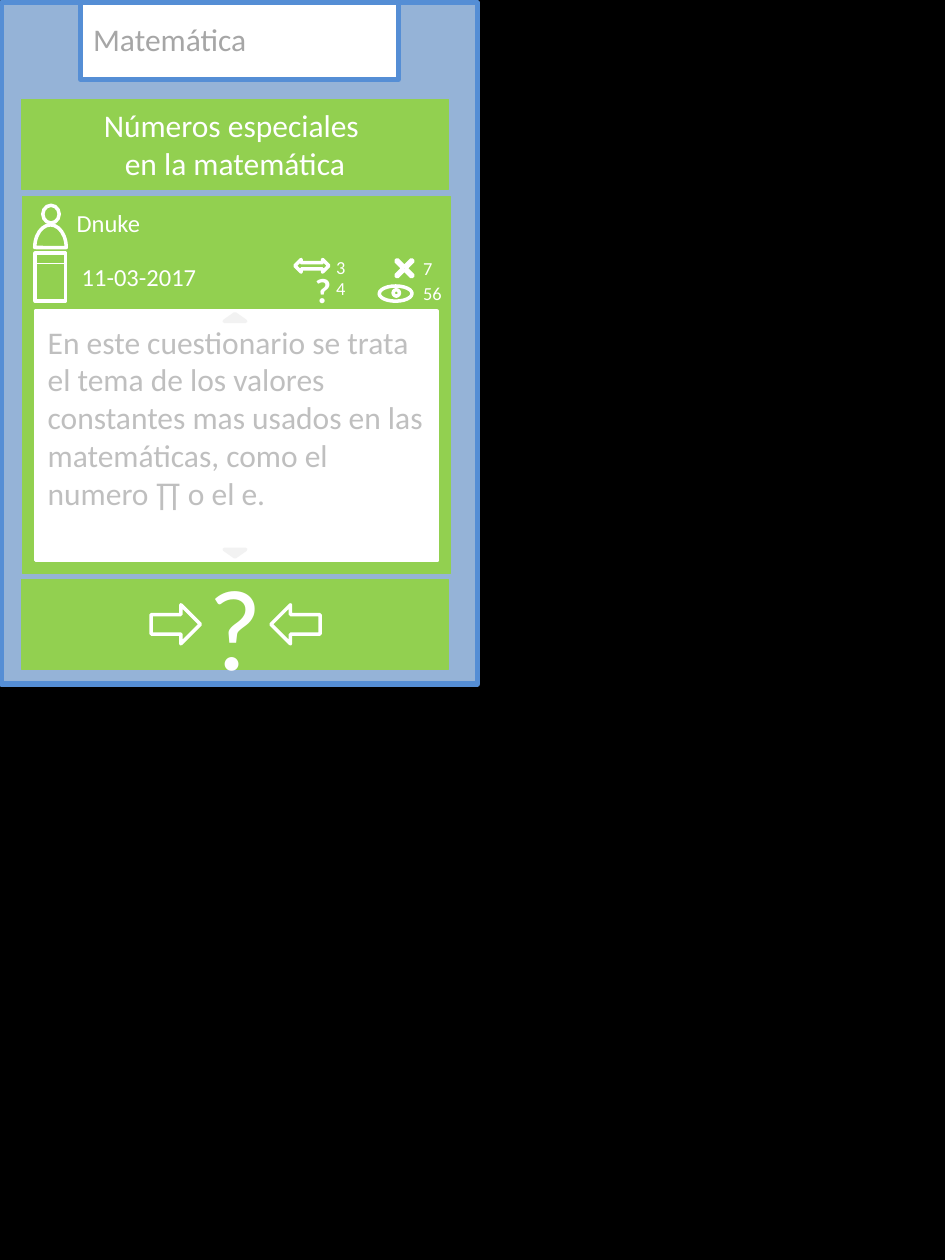
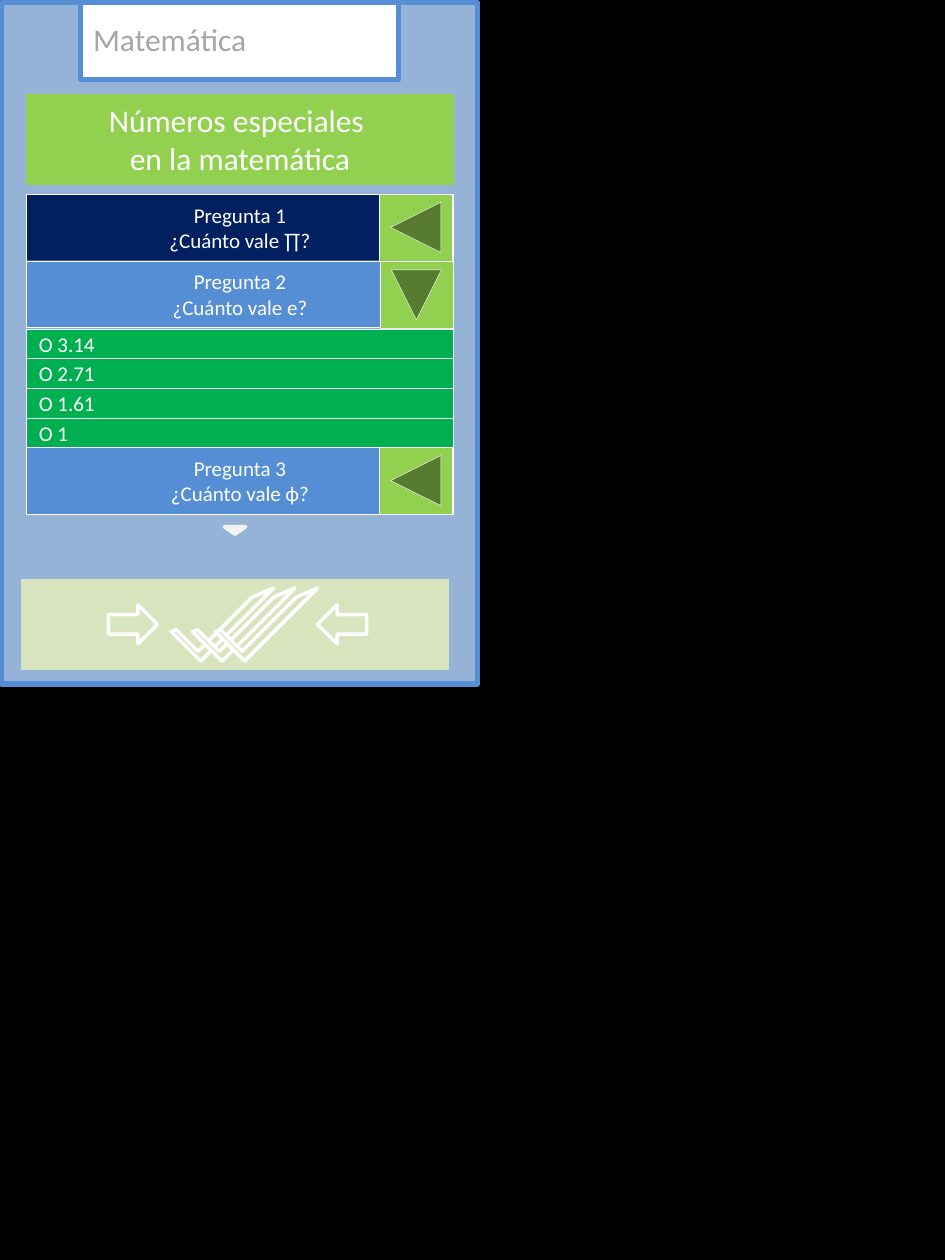
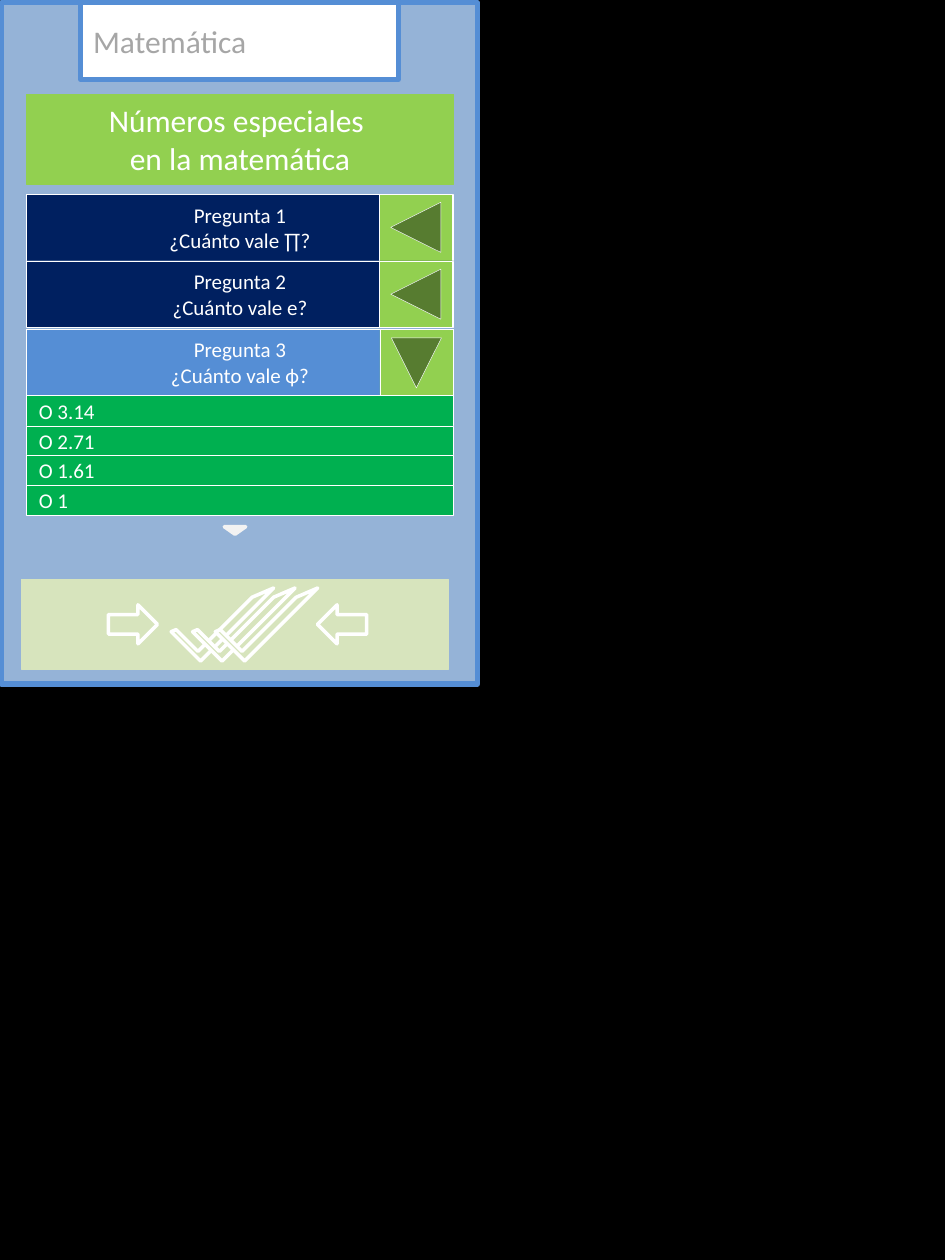
from dataclasses import dataclass

from lxml import etree
from pptx import Presentation
from pptx.dml.color import RGBColor
from pptx.enum.shapes import MSO_CONNECTOR, MSO_SHAPE
from pptx.enum.text import MSO_ANCHOR, MSO_AUTO_SIZE, PP_ALIGN
from pptx.oxml.ns import qn
from pptx.util import Pt

PX = 9144  # EMU in one px, 100 px to the inch

RECT = MSO_SHAPE.RECTANGLE
OVAL = MSO_SHAPE.OVAL
PIE = MSO_SHAPE.PIE
MOON = MSO_SHAPE.MOON
DOT = MSO_SHAPE.FLOWCHART_CONNECTOR
CROSS = MSO_SHAPE.MATH_MULTIPLY
WEDGE = MSO_SHAPE.ISOSCELES_TRIANGLE
ARROW = MSO_SHAPE.RIGHT_ARROW
DOUBLE = MSO_SHAPE.LEFT_RIGHT_ARROW
BACK = MSO_SHAPE.ACTION_BUTTON_BACK_OR_PREVIOUS
TICK = MSO_SHAPE.HALF_FRAME
STRAIGHT = MSO_CONNECTOR.STRAIGHT
MIDDLE = MSO_ANCHOR.MIDDLE
LEFT, CENTER = PP_ALIGN.LEFT, PP_ALIGN.CENTER
FIXED, GROW = MSO_AUTO_SIZE.NONE, MSO_AUTO_SIZE.SHAPE_TO_FIT_TEXT


@dataclass(frozen=True)
class Theme:
    font: str = "Calibri"
    back: str = "000000"
    panel: str = "95B3D7"
    blue: str = "558ED5"
    navy: str = "002060"
    lime: str = "92D050"
    pale: str = "D7E4BD"
    green: str = "00B050"
    accent: str = "4F81BD"
    white: str = "FFFFFF"
    mist: str = "F2F2F2"
    gray: str = "A6A6A6"
    soft: str = "BFBFBF"
    huge: float = 66
    mark: float = 20
    head: float = 18
    meta: float = 14
    item: float = 12
    count: float = 10.5
    hair: float = 0.25
    thin: float = 0.75
    icon: float = 2
    thick: float = 3


class Deck:
    def __init__(self, theme):
        self.theme = theme
        self.prs = Presentation()
        self.prs.slide_width = 750 * PX
        self.prs.slide_height = 1000 * PX
        self.slide = None

    def start(self):
        """Add a slide with the app window drawn on it; return its topic box."""
        t = self.theme
        self.slide = self.prs.slides.add_slide(self.prs.slide_layouts[5])
        fill = self.slide.background.fill
        fill.solid()
        fill.fore_color.rgb = RGBColor.from_string(t.back)
        self.shape(RECT, (1, 2, 378, 541), t.panel, t.blue, t.thick)
        return self.shape(RECT, (64, 2, 252, 61), t.white, t.blue, t.thick)

    def paint(self, shape, fill, edge, width):
        shape.fill.solid()
        shape.fill.fore_color.rgb = RGBColor.from_string(fill)
        shape.line.color.rgb = RGBColor.from_string(edge)
        shape.line.width = Pt(width)

    def shape(self, kind, box, fill, edge, width, turn=0, adjust=()):
        shape = self.slide.shapes.add_shape(kind, *(n * PX for n in box))
        shape.shadow.inherit = False
        shape.rotation = turn
        for i, value in enumerate(adjust):
            shape.adjustments[i] = value
        self.paint(shape, fill, edge, width)
        return shape

    def icon(self, kind, box, fill, turn=0, adjust=()):
        t = self.theme
        return self.shape(kind, box, fill, t.white, t.icon, turn, adjust)

    def put(self, shape, text, size, color, align=LEFT, bold=False):
        """Set and format the text of a shape; return its frame."""
        frame = shape.text_frame
        frame.text = text
        frame.word_wrap = True
        for para in frame.paragraphs:
            para.alignment = align
            for run in para.runs:
                font = run.font
                font.name, font.size, font.bold = self.theme.font, Pt(size), bold
                font.color.rgb = RGBColor.from_string(color)
        return frame

    def label(self, text, box, size, color, bold=False):
        shape = self.slide.shapes.add_textbox(*(n * PX for n in box))
        self.put(shape, text, size, color, bold=bold).auto_size = GROW

    def bar(self, text, box, fill, align=LEFT):
        """Draw a thin-edged row of a quiz."""
        t = self.theme
        shape = self.shape(RECT, box, fill, t.white, t.hair)
        self.put(shape, text, t.item, t.white, align).vertical_anchor = MIDDLE

    def line(self, start, end):
        t = self.theme
        rule = self.slide.shapes.add_connector(
            STRAIGHT, *(n * PX for n in start + end))
        rule.line.color.rgb = RGBColor.from_string(t.white)
        rule.line.width = Pt(t.thin)
        etree.SubElement(rule._element.spPr, qn("a:effectLst"))

    def title(self, text, left, top):
        t = self.theme
        shape = self.slide.shapes.title
        shape.left, shape.top = left * PX, top * PX
        shape.width, shape.height = 339 * PX, 71 * PX
        self.paint(shape, t.lime, t.lime, t.hair)
        frame = self.put(shape, text, t.head, t.white, CENTER)
        frame.auto_size, frame.vertical_anchor = FIXED, MIDDLE
        # The placeholder comes first in the tree: bring it above the window.
        self.slide.shapes._spTree.append(shape._element)

    def wedge(self, top, turn=0):
        t = self.theme
        self.shape(WEDGE, (178, top, 17, 6), t.mist, t.mist, t.icon, turn)

    def footer(self, fill, left, right):
        """Draw the bottom band and the two arrows that face its middle."""
        band = self.shape(RECT, (17, 460, 339, 71), fill, fill, self.theme.hair)
        self.icon(ARROW, (left, 480, 39, 31), fill)
        self.icon(ARROW, (right, 480, 39, 31), fill, 180)
        return band


TOPIC = "Matemática"
TITLE = "Números especiales \nen la matemática"
ABOUT = ("En este cuestionario se trata el tema de los valores constantes mas "
         "usados en las matemáticas, como el numero ∏ o el e.")
SIGNS = ["∏", "e", "ϕ"]
ANSWERS = ["O 3.14", "O 2.71", "O 1.61", "O 1"]


def topic(deck):
    t = deck.theme
    deck.label(TOPIC, (64, 11, 252, 40), t.head, t.gray)


def cover(deck):
    t = deck.theme
    deck.start()
    topic(deck)
    deck.title(TITLE, 17, 79)
    deck.shape(RECT, (18, 156, 339, 299), t.lime, t.lime, t.hair)

    # Author and date
    deck.icon(OVAL, (34, 163, 13, 14), t.lime)
    deck.icon(PIE, (22, 184, 36, 25), t.lime, 90, (54.09, 162))
    deck.label("Dnuke", (51, 160, 74, 34), t.meta, t.white)
    deck.icon(RECT, (28, 201, 24, 38), t.lime)
    deck.line((29, 209), (53, 209))
    deck.label("11-03-2017", (55, 203, 112, 34), t.meta, t.white)

    # Counters
    deck.icon(MOON, (311, 217, 6, 26), t.lime, 90, (0,))
    deck.icon(MOON, (311, 223, 6, 26), t.lime, 270, (0,))
    deck.icon(DOT, (312, 230, 5, 5), t.lime)
    deck.icon(CROSS, (309, 201, 24, 24), t.accent, 0, (0.07,))
    deck.icon(DOUBLE, (234, 206, 27, 10), t.lime)
    for text, left, top in [("56", 326, 219), ("7", 326, 199),
                            ("3", 257, 198), ("4", 257, 215)]:
        deck.label(text, (left, top, 49, 28), t.count, t.white)
    deck.label("?", (240, 208, 49, 44), t.mark, t.white, True)

    about = deck.icon(RECT, (28, 247, 319, 198), t.white)
    frame = deck.put(about, ABOUT, t.head, t.soft)
    frame.vertical_anchor, frame.margin_bottom = MIDDLE, 35 * PX
    deck.wedge(249)
    deck.wedge(436, 180)

    band = deck.footer(t.lime, 120, 215)
    deck.put(band, "?", t.huge, t.white, CENTER).vertical_anchor = MIDDLE


def quiz(deck, current, inside=False):
    """Show the questions with the current one open; inside puts the topic
    in its box rather than over it."""
    t = deck.theme
    box = deck.start()
    if inside:
        deck.put(box, TOPIC, t.head, t.gray).vertical_anchor = MIDDLE
    else:
        topic(deck)
    deck.title(TITLE, 21, 75)

    top = 154
    for i, sign in enumerate(SIGNS):
        y = round(top)
        deck.bar(f"Pregunta {i + 1}\n¿Cuánto vale {sign}?", (21, y, 339, 53),
                 t.navy if i < current else t.blue, CENTER)
        if i == current:
            spot, turn = (304, y - 2, 53, 58), 270
        else:
            spot, turn = (301, y, 58, 53), 0
        deck.shape(BACK, spot, t.lime, t.white, t.hair, turn)
        top += 53.4
        if i == current:
            for answer in ANSWERS:
                deck.bar(answer, (21, round(top), 339, 24), t.green)
                top += 23.6
    deck.wedge(418, 180)

    deck.footer(t.pale, 86, 252)
    for left in (160, 177, 195):
        deck.icon(TICK, (left, 443, 33, 82), t.pale, 225, (0.12, 0.21))


def main():
    deck = Deck(Theme())
    cover(deck)
    quiz(deck, 1)
    quiz(deck, 2, inside=True)
    deck.prs.save("out.pptx")


if __name__ == "__main__":
    main()
